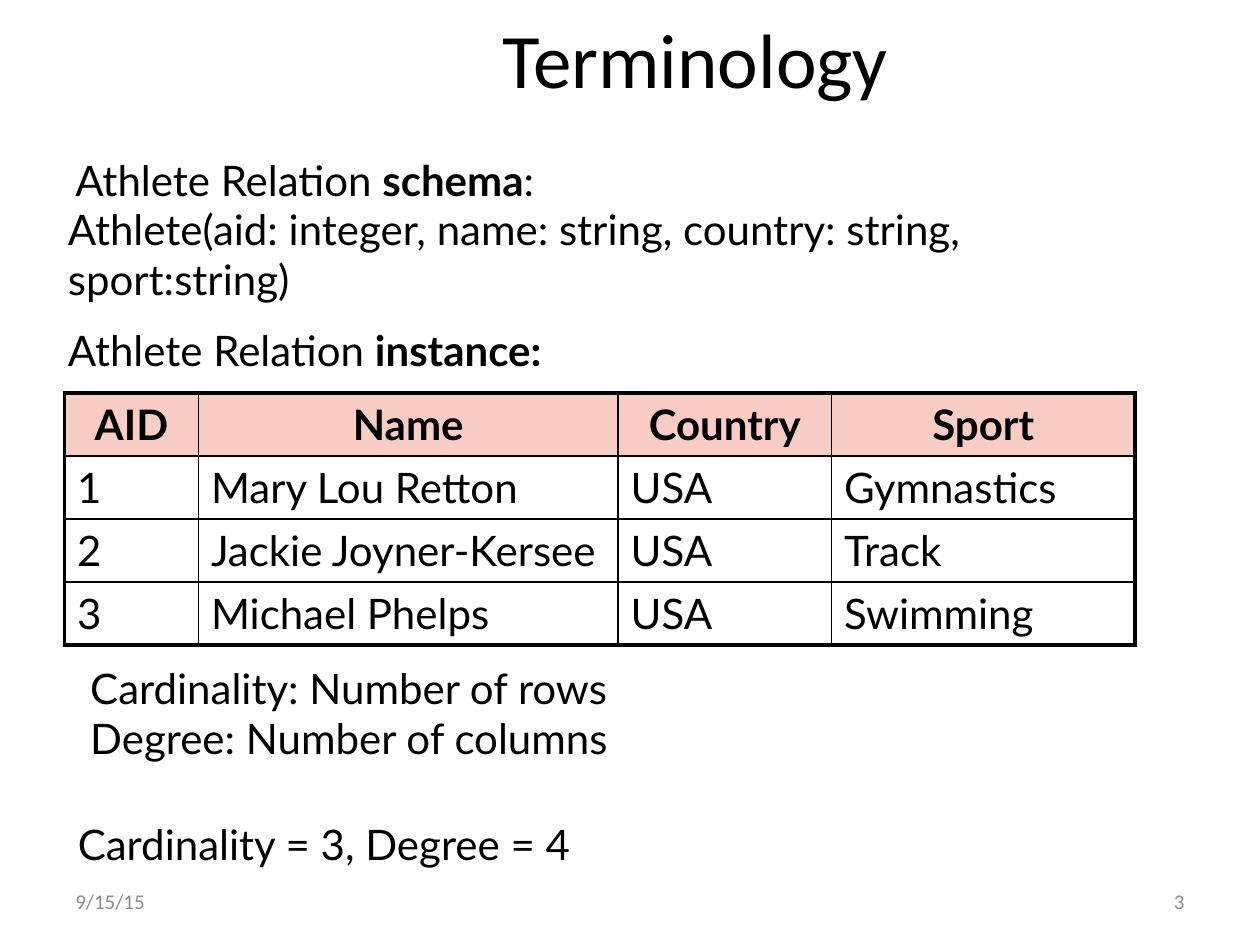
from lxml import etree
from pptx import Presentation
from pptx import util as u
from pptx.dml import color
from pptx.enum import text as t
from pptx.oxml import ns

COLORS = {"ink": "000000", "header": "F8CDC6", "footer": "8C8C8C"}
HEADERS = ["AID", "Name", "Country", "Sport"]
ATHLETES = [
    ["1", "Mary Lou Retton", "USA", "Gymnastics"],
    ["2", "Jackie Joyner-Kersee", "USA", "Track"],
    ["3", "Michael Phelps", "USA", "Swimming"],
]
COLUMN_WIDTHS = [2.7, 8.46, 4.3, 6.12]
ROW_HEIGHT = 1.27
THIN, THICK = 1, 2.25


def rgb(name):
    """Return the named colour."""
    return color.RGBColor.from_string(COLORS[name])


def write(para, words, size=24, font="Lato", ink="ink", bold=False,
          align=t.PP_ALIGN.LEFT):
    """Append a formatted run to a paragraph."""
    para.alignment = align
    span = para.add_run()
    span.text = words
    span.font.size = u.Pt(size)
    span.font.name = font
    span.font.bold = bold
    span.font.color.rgb = rgb(ink)


def place(shape, left, top, width, height):
    """Move and size a shape, in centimetres."""
    shape.left, shape.top = u.Cm(left), u.Cm(top)
    shape.width, shape.height = u.Cm(width), u.Cm(height)


def add_text(page, box, paragraphs, gap=0, wrap=True,
             anchor=t.MSO_ANCHOR.TOP, **style):
    """Add a text box; each paragraph is a list of (words, bold) pairs."""
    frame = page.shapes.add_textbox(*(u.Cm(side) for side in box)).text_frame
    frame.word_wrap = wrap
    frame.vertical_anchor = anchor
    for index, spans in enumerate(paragraphs):
        para = frame.add_paragraph() if index else frame.paragraphs[0]
        para.space_before = u.Pt(gap)
        for words, bold in spans:
            write(para, words, bold=bold, **style)


def add_title(page, box):
    """Fill the title placeholder."""
    title = page.shapes.title
    place(title, *box)
    title.text_frame.vertical_anchor = t.MSO_ANCHOR.MIDDLE
    write(title.text_frame.paragraphs[0], "Terminology", size=44,
          font="Calibri", align=t.PP_ALIGN.CENTER)


def set_borders(cell, widths):
    """Draw the cell borders from a dict of side letter to points."""
    properties = cell._tc.get_or_add_tcPr()
    for side, width in widths.items():
        line = etree.SubElement(properties, ns.qn("a:ln" + side),
                                w=str(u.Pt(width)))
        fill = etree.SubElement(line, ns.qn("a:solidFill"))
        etree.SubElement(fill, ns.qn("a:srgbClr"), val=COLORS["ink"])


def add_athletes(page, left, top):
    """Add the relation table with a thick outline and a tinted header."""
    rows = [HEADERS] + ATHLETES
    last_row, last_column = len(rows) - 1, len(HEADERS) - 1
    table = page.shapes.add_table(
        len(rows), len(HEADERS), u.Cm(left), u.Cm(top),
        u.Cm(sum(COLUMN_WIDTHS)), u.Cm(ROW_HEIGHT * len(rows))).table
    table.first_row = table.horz_banding = False
    for column, width in zip(table.columns, COLUMN_WIDTHS):
        column.width = u.Cm(width)
    for r, values in enumerate(rows):
        table.rows[r].height = u.Cm(ROW_HEIGHT)
        for c, value in enumerate(values):
            cell = table.cell(r, c)
            header = r == 0
            edges = {"L": c == 0, "R": c == last_column,
                     "T": header, "B": r == last_row}
            set_borders(cell, {side: THICK if outer else THIN
                               for side, outer in edges.items()})
            if header:
                cell.fill.solid()
                cell.fill.fore_color.rgb = rgb("header")
            else:
                cell.fill.background()
            write(cell.text_frame.paragraphs[0], value, bold=header,
                  align=t.PP_ALIGN.CENTER if header else t.PP_ALIGN.LEFT)


def add_schema(page, left, top):
    """Add the schema heading, its definition and the instance heading."""
    add_text(page, (left + 0.15, top, 10.57, 1.27),
             [[("Athlete Relation ", False), ("schema", True),
               (": ", False)]], wrap=False)
    definition = ("Athlete(aid: integer, name: string, country: string, "
                  "sport:string)")
    add_text(page, (left, top + 0.97, 21.3, 3.84),
             [[(definition, False)],
              [("Athlete Relation ", False), ("instance:", True)]], gap=12)


def add_measures(page, left, top):
    """Add the definitions of cardinality and degree and their values."""
    add_text(page, (left + 0.25, top, 20.5, 2.3),
             [[("Cardinality: Number of rows", False)],
              [("Degree: Number of columns", False)]])
    add_text(page, (left, top + 3.15, 13.13, 1.27),
             [[("Cardinality = 3, Degree = 4", False)]], gap=12)


def add_footer(page, left, top, width):
    """Add the date and the page number at the two ends of the footer."""
    part = 5.92
    for x, words, align in [
            (left, "9/15/15", t.PP_ALIGN.LEFT),
            (left + width - part, "3", t.PP_ALIGN.RIGHT)]:
        add_text(page, (x, top, part, 1.02), [[(words, False)]],
                 anchor=t.MSO_ANCHOR.MIDDLE, size=12, font="Calibri",
                 ink="footer", align=align)


deck = Presentation()
deck.slide_width, deck.slide_height = u.Cm(25.4), u.Cm(19.05)
page = deck.slides.add_slide(deck.slide_layouts.get_by_name("Title Only"))
add_title(page, (3.2, -0.43, 21.64, 3.18))
add_athletes(page, 1.3, 7.92)
add_footer(page, 1.27, 17.65, 22.86)
add_schema(page, 1.12, 3)
add_measures(page, 1.32, 13.23)
deck.save("out.pptx")
